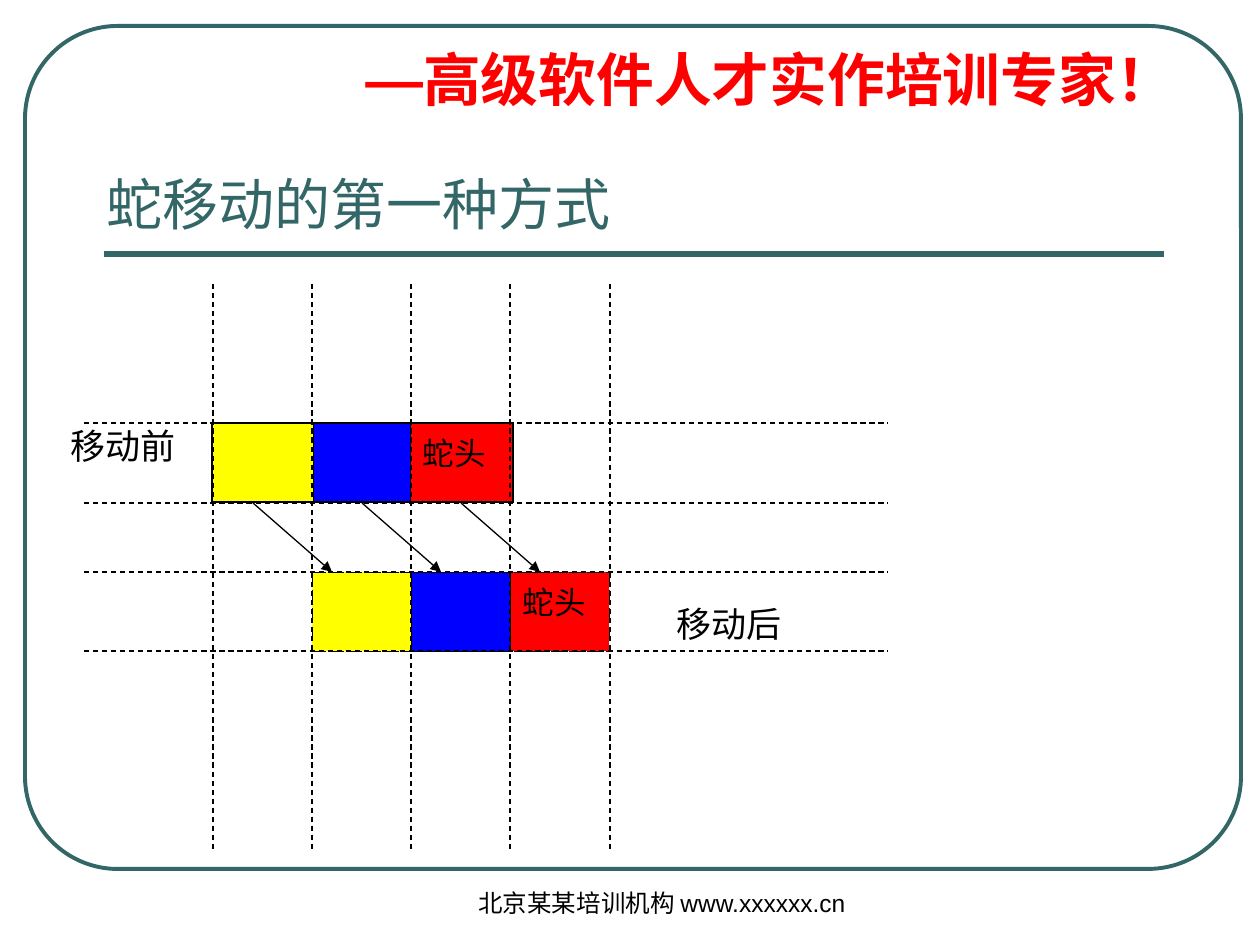
from dataclasses import dataclass

from lxml.etree import SubElement as Sub
from pptx import Presentation
from pptx.dml.color import RGBColor as Rgb
from pptx.enum.dml import MSO_LINE as Dash
from pptx.enum.shapes import MSO_CONNECTOR as Conn, MSO_SHAPE as Kind
from pptx.enum.text import MSO_ANCHOR as Anchor, PP_ALIGN as Align
from pptx.oxml.ns import qn
from pptx.util import Pt

SCALE = 914400 / 126  # EMU in one px


@dataclass(frozen=True)
class Theme:
    teal: str = "336666"
    red: str = "FF0000"
    blue: str = "0000FF"
    yellow: str = "FFFF00"
    black: str = "000000"
    latin: str = "Arial"
    han: str = "Noto Sans CJK SC"
    accent: str = "Montserrat"
    slogan: int = 33
    title: int = 32
    label: int = 20
    cell: int = 18
    foot: int = 14


T = Theme()


def px(*vals):
    return [round(v * SCALE) for v in vals]


def write(frame, text, size, color=T.black, font=T.latin, east=T.han,
          bold=False, align=Align.LEFT, before=0, lead=None):
    """Add a run to the first paragraph of the frame."""
    para = frame.paragraphs[0]
    para.alignment = align
    para.space_before = Pt(before)
    para.line_spacing = lead
    run = para.add_run()
    run.text = text
    run.font.size = Pt(size)
    run.font.bold = bold
    run.font.name = font
    run.font.color.rgb = Rgb.from_string(color)
    Sub(run.font._element, qn("a:ea"), typeface=east)


def box(slide, *rect, anchor=Anchor.TOP):
    frame = slide.shapes.add_textbox(*px(*rect)).text_frame
    frame.word_wrap = True
    frame.vertical_anchor = anchor
    return frame


def line(slide, *ends, color=T.black, width=0.75, dash=False, arrow=False):
    conn = slide.shapes.add_connector(Conn.STRAIGHT, *px(*ends))
    conn.line.color.rgb = Rgb.from_string(color)
    conn.line.width = Pt(width)
    if dash:
        conn.line.dash_style = Dash.DASH
    if arrow:
        Sub(conn.line._get_or_add_ln(), qn("a:tailEnd"), type="triangle")
    Sub(conn._element.spPr, qn("a:effectLst"))


def edge(props, side, width, dash):
    ln = Sub(props, qn(f"a:ln{side}"), w=str(Pt(width)))
    fill = Sub(ln, qn("a:solidFill"))
    Sub(fill, qn("a:srgbClr"), val=T.black)
    Sub(ln, qn("a:prstDash"), val="dash" if dash else "solid")


def snake(slide, left, top, widths, height, rim, dash=False):
    """Three body cells in one table row, with the head at the right."""
    shape = slide.shapes.add_table(
        1, len(widths), *px(left, top, sum(widths), height))
    table = shape.table
    table.first_row = table.horz_banding = False
    last = len(widths) - 1
    for i, (wide, color) in enumerate(zip(widths, (T.yellow, T.blue, T.red))):
        table.columns[i].width = px(wide)[0]
        cell = table.cell(0, i)
        props = cell._tc.get_or_add_tcPr()
        outer = {"L": i == 0, "R": i == last, "T": True, "B": True}
        for side, out in outer.items():
            edge(props, side, rim if out else 0.45, dash and out)
        cell.fill.solid()
        cell.fill.fore_color.rgb = Rgb.from_string(color)
    write(table.cell(0, last).text_frame, "蛇头", T.cell, before=4.5)


def frame(slide):
    # Rounded border, rule, slogan and footer
    rim = slide.shapes.add_shape(Kind.ROUNDED_RECTANGLE,
                                 *px(25, 26, 1216, 843))
    rim.adjustments[0] = 0.11
    rim.shadow.inherit = False
    rim.fill.background()
    rim.line.color.rgb = Rgb.from_string(T.teal)
    rim.line.width = Pt(2.25)
    line(slide, 104, 254, 1164, 254, color=T.teal, width=3)
    slogan = box(slide, 353, 45, 814, 76)
    for text, font in (("—", T.accent), ("高级软件人才实作培训专家！", T.han)):
        write(slogan, text, T.slogan, T.red, font, font, bold=True,
              before=8.2, lead=0.9)
    write(box(slide, 462, 882, 400, 63), "北京某某培训机构 www.xxxxxx.cn",
          T.foot, align=Align.CENTER)


def main():
    deck = Presentation()
    deck.slide_width, deck.slide_height = px(1260, 945)
    slide = deck.slides.add_slide(deck.slide_layouts[6])
    frame(slide)
    write(box(slide, 94, 45, 1061, 198, anchor=Anchor.BOTTOM),
          "蛇移动的第一种方式", T.title, T.teal, T.han)

    # Snake before and after the move
    rows = (423, 503, 572, 651)
    cols = [213 + i * 397 // 4 for i in range(5)]
    snake(slide, 212, rows[0], (101, 97, 103), 79, 1.08)
    snake(slide, cols[1], rows[2], (99, 99, 99), 79, 0.45, dash=True)

    # Dashed grid
    for x in cols:
        line(slide, x, 284, x, 849, dash=True)
    for y in rows:
        line(slide, 84, y, 888, y, dash=True)

    # Row labels
    for text, x, y in (("移动前", 54, 423), ("移动后", 660, 601)):
        write(box(slide, x, y, 139, 50), text, T.label,
              align=Align.CENTER, before=12.5, lead=0.9)

    # Arrows from the old cells to the new ones
    for x in (253, 362, 461):
        line(slide, x, rows[1], x + 79, rows[2], arrow=True)

    deck.save("out.pptx")


if __name__ == "__main__":
    main()
